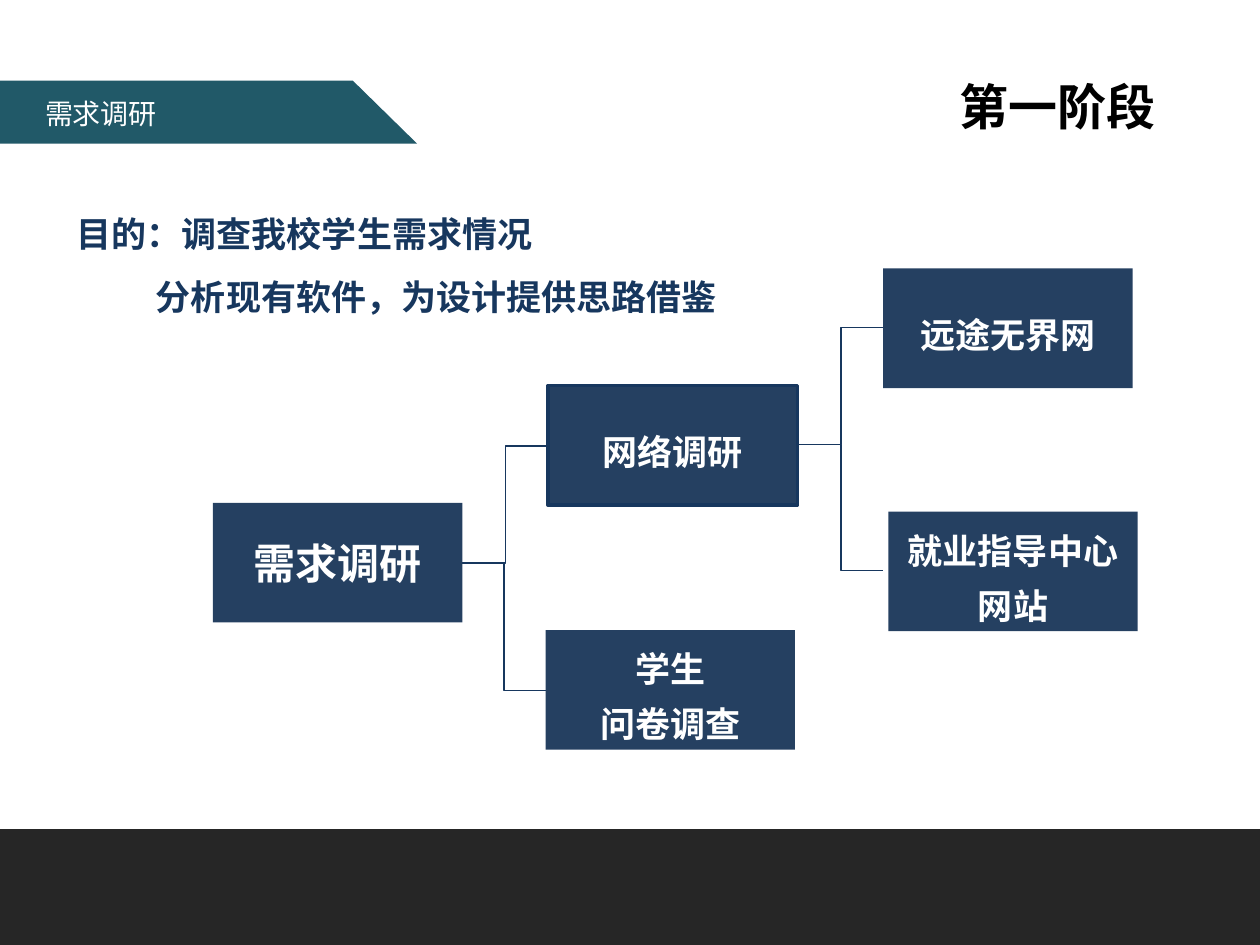
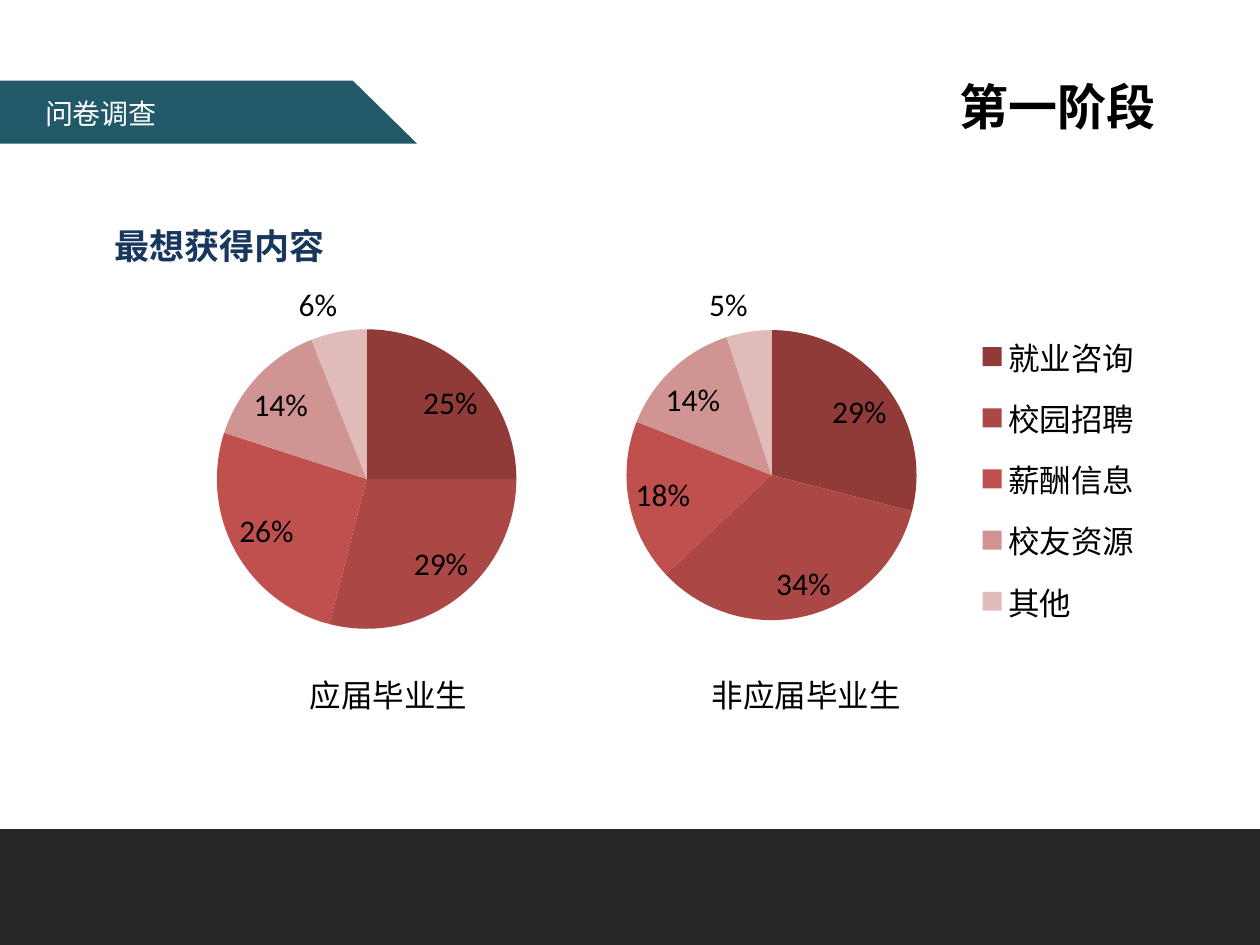
from lxml.etree import SubElement as Sub
from pptx import Presentation
from pptx.chart.data import CategoryChartData as Data
from pptx.dml.color import RGBColor
from pptx.enum.chart import XL_CHART_TYPE as Kind
from pptx.enum.chart import XL_LABEL_POSITION as Spot
from pptx.enum.chart import XL_LEGEND_POSITION as Side
from pptx.enum.shapes import MSO_CONNECTOR as Link
from pptx.enum.shapes import MSO_SHAPE as Form
from pptx.enum.text import MSO_ANCHOR as Anchor
from pptx.enum.text import PP_ALIGN as Align
from pptx.oxml.ns import qn
from pptx.util import Pt

PX = 9144  # 100 px to the inch
FONT = "Noto Sans CJK SC"
NAVY, BLUE, TEAL = "17375E", "254061", "215968"
DARK, WHITE, BLACK = "262626", "FFFFFF", "000000"
SLICES = ["903B38", "AB4744", "C0504D", "D09492", "E0BBBA"]
hue = RGBColor.from_string


def paint(shape, fill, line=None):
    """Give a shape a flat fill, an optional 2 pt outline and no shadow."""
    shape.shadow.inherit = False
    shape.fill.solid()
    shape.fill.fore_color.rgb = hue(fill)
    if line:
        shape.line.color.rgb = hue(line)
        shape.line.width = Pt(2)
    else:
        shape.line.fill.background()


def write(shape, text, size=20, color=BLACK, bold=False, align=Align.LEFT,
          anchor=Anchor.TOP, space=None, indents=()):
    """Fill a shape with one paragraph per line; indents are px per line."""
    frame = shape.text_frame
    frame.word_wrap = True
    frame.vertical_anchor = anchor
    for i, line in enumerate(text.split("\n")):
        para = frame.add_paragraph() if i else frame.paragraphs[0]
        para.alignment = align
        if space:
            para.line_spacing = space
        if indents:
            para._p.get_or_add_pPr().set("marL", str(indents[i] * PX))
        run = para.add_run()
        run.text = line
        font = run.font
        font.size, font.bold, font.name = Pt(size), bold, FONT
        font.color.rgb = hue(color)
        Sub(run._r.get_or_add_rPr(), qn("a:ea"), typeface=FONT)


deck = Presentation()
deck.slide_width, deck.slide_height = 1000 * PX, 750 * PX

# Footer, slanted tag and stage title on every slide
pages = []
for tag in ["需求调研", "问卷调查"]:
    shapes = deck.slides.add_slide(deck.slide_layouts[6]).shapes
    pages.append(shapes)
    paint(shapes.add_shape(Form.RECTANGLE, 0, 658 * PX, 1000 * PX, 92 * PX), DARK)
    band = shapes.build_freeform(0, 64, scale=PX)
    band.add_line_segments([(280, 64), (331, 114), (0, 114)], close=True)
    paint(band.convert_to_shape(), TEAL)
    write(shapes.add_textbox(26 * PX, 72 * PX, 200 * PX, 37 * PX), tag,
          size=16, color=WHITE)
    write(shapes.add_textbox(752 * PX, 56 * PX, 248 * PX, 57 * PX), "第一阶段",
          size=28, bold=True)

survey, poll = pages

# Slide 1: aim and survey tree
write(survey.add_textbox(51 * PX, 147 * PX, 587 * PX, 111 * PX),
      "目的：调查我校学生需求情况\n分析现有软件，为设计提供思路借鉴",
      color=NAVY, bold=True, space=1.5, indents=(0, 63))

links = [
    (367, 447, 435, 354),
    (367, 447, 433, 548),
    (634, 353, 701, 260),
    (634, 353, 701, 453),
]
for ends in links:
    link = survey.add_connector(Link.ELBOW, *[n * PX for n in ends])
    link.line.color.rgb = hue(NAVY)
    link.line.width = Pt(0.75)
    Sub(link._element.spPr, qn("a:effectLst"))

nodes = [
    (169, 399, "需求调研", 24, None, None),
    (435, 306, "网络调研", 20, 1.3, NAVY),
    (433, 500, "学生\n问卷调查", 20, 1.3, None),
    (701, 213, "远途无界网", 20, 1.3, None),
    (705, 406, "就业指导中心网站", 20, 1.3, None),
]
for x, y, name, size, space, edge in nodes:
    node = survey.add_shape(Form.RECTANGLE, x * PX, y * PX, 198 * PX, 95 * PX)
    paint(node, BLUE, edge)
    write(node, name, size=size, color=WHITE, bold=True, align=Align.CENTER,
          anchor=Anchor.MIDDLE, space=space)

# Slide 2: two pies that share one legend
write(poll.add_textbox(81 * PX, 173 * PX, 449 * PX, 44 * PX), "最想获得内容",
      color=NAVY, bold=True)

topics = ["就业咨询", "校园招聘", "薪酬信息", "校友资源", "其他"]
pies = [
    ((114, 217, 513, 317), (25, 29, 26, 14, 6), False, 236, "应届毕业生"),
    ((445, 219, 485, 307), (29, 34, 18, 14, 5), True, 555, "非应届毕业生"),
]
for box, shares, keyed, left, group in pies:
    data = Data()
    data.categories = topics
    data.add_series("Series 1", shares)
    chart = poll.add_chart(Kind.PIE, *[n * PX for n in box], data).chart
    chart.has_title = False
    chart.font.size, chart.font.name = Pt(18), "Calibri"
    chart.font.color.rgb = hue(BLACK)
    chart.has_legend = keyed

    plot = chart.plots[0]
    plot.vary_by_categories = True
    for i, color in enumerate(SLICES):
        fill = plot.series[0].points[i].format.fill
        fill.solid()
        fill.fore_color.rgb = hue(color)
    plot.has_data_labels = True
    labels = plot.data_labels
    labels.show_percentage, labels.show_value = True, False
    labels.number_format, labels.number_format_is_linked = "0%", False
    labels.position = Spot.BEST_FIT

    area = chart._chartSpace.chart.plotArea
    for old in area.findall(qn("c:layout")):
        area.remove(old)
    places = [(area, 0, (0.1, 0.14, 0.49, 0.75))]
    if keyed:
        chart.legend.position = Side.RIGHT
        chart.legend.include_in_layout = False
        key = chart.legend._element
        for old in key.findall(qn("c:layout")):
            key.remove(old)
        places.append((key, 1, (0.68, 0.11, 0.27, 0.83)))
    for part, slot, rect in places:
        layout = Sub(part, qn("c:layout"))
        part.insert(slot, layout)
        manual = Sub(layout, qn("c:manualLayout"))
        if part is area:
            Sub(manual, qn("c:layoutTarget"), val="inner")
        for mode in ("xMode", "yMode"):
            Sub(manual, qn("c:" + mode), val="edge")
        for side, share in zip("xywh", rect):
            Sub(manual, qn("c:" + side), val=str(share))

    write(poll.add_textbox(left * PX, 532 * PX, 197 * PX, 40 * PX), group, size=18)

deck.save("out.pptx")
